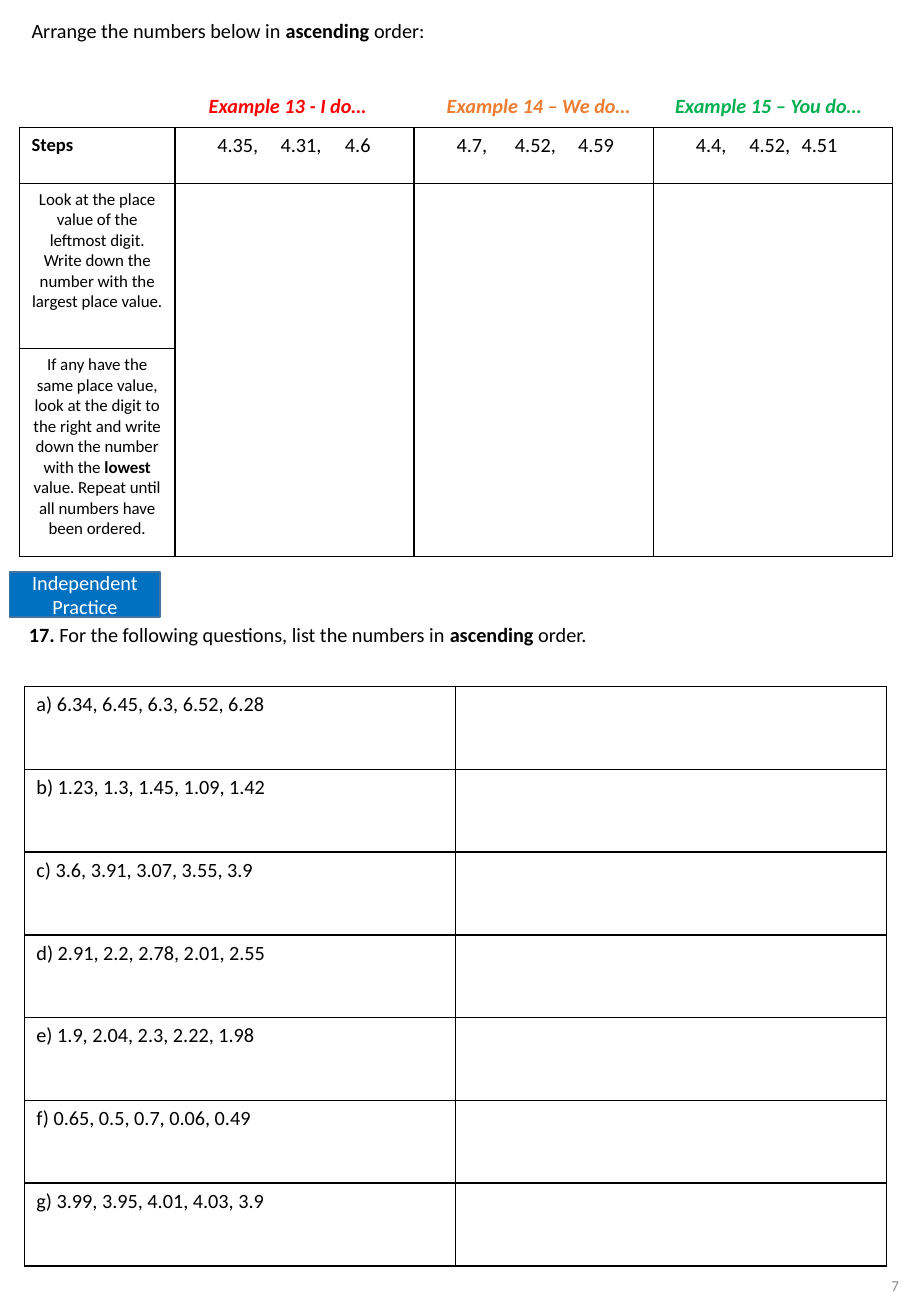
from lxml import etree
from pptx import Presentation
from pptx.dml.color import RGBColor
from pptx.enum.shapes import MSO_SHAPE
from pptx.enum.text import MSO_ANCHOR as ANCHOR, PP_ALIGN as ALIGN
from pptx.oxml.ns import qn
from pptx.util import Inches, Pt

BLACK, WHITE = "000000", "FFFFFF"


def rgb(value):
    return RGBColor.from_string(value)


def write(tf, text, size=12, color=BLACK, bold=False, italic=False,
          align=ALIGN.LEFT, tabs=()):
    """Write one paragraph; text between asterisks is bold."""
    p = tf.paragraphs[0]
    p.alignment = align
    if tabs:
        stops = etree.SubElement(p._p.get_or_add_pPr(), qn("a:tabLst"))
        for pos in tabs:
            etree.SubElement(stops, qn("a:tab"), pos=str(Inches(pos)), algn="l")
    for i, part in enumerate(text.split("*")):
        if part:
            r = p.add_run()
            r.text = part
            r.font.name = "Calibri"
            r.font.size = Pt(size)
            r.font.bold = bold or i % 2 == 1
            r.font.italic = italic
            r.font.color.rgb = rgb(color)


def set_borders(cell, sides):
    """Draw the named sides (L, R, T, B) in black and hide the others."""
    tc_pr = cell._tc.get_or_add_tcPr()
    for i, side in enumerate("LRTB"):
        ln = etree.Element(qn("a:ln" + side), w=str(Pt(1)))
        if side in sides:
            fill = etree.SubElement(ln, qn("a:solidFill"))
            etree.SubElement(fill, qn("a:srgbClr"), val=BLACK)
        else:
            etree.SubElement(ln, qn("a:noFill"))
        tc_pr.insert(i, ln)


class Worksheet:
    def __init__(self, width, height):
        self.prs = Presentation()
        self.prs.slide_width, self.prs.slide_height = Inches(width), Inches(height)
        self.slide = self.prs.slides.add_slide(self.prs.slide_layouts[6])

    def text(self, x, y, w, h, text, wrap=True, anchor=ANCHOR.TOP, **fmt):
        tf = self.slide.shapes.add_textbox(
            Inches(x), Inches(y), Inches(w), Inches(h)).text_frame
        tf.word_wrap = wrap
        tf.vertical_anchor = anchor
        write(tf, text, **fmt)

    def label(self, x, y, w, h, text, fill, line):
        sp = self.slide.shapes.add_shape(
            MSO_SHAPE.RECTANGLE, Inches(x), Inches(y), Inches(w), Inches(h))
        sp.shadow.inherit = False
        sp.fill.solid()
        sp.fill.fore_color.rgb = rgb(fill)
        sp.line.color.rgb = rgb(line)
        sp.line.width = Pt(1)
        sp.text_frame.word_wrap = True
        sp.text_frame.vertical_anchor = ANCHOR.MIDDLE
        write(sp.text_frame, text, color=WHITE, align=ALIGN.CENTER)

    def table(self, x, y, cols, rows, open_rows=0):
        """Add a ruled table whose first open_rows rows have no borders."""
        table = self.slide.shapes.add_table(
            len(rows), len(cols), Inches(x), Inches(y),
            Inches(sum(cols)), Inches(sum(rows))).table
        table.first_row = table.horz_banding = False
        for col, w in zip(table.columns, cols):
            col.width = Inches(w)
        for i, (row, h) in enumerate(zip(table.rows, rows)):
            row.height = Inches(h)
            sides = "LRTB" if i >= open_rows else "B" if i == open_rows - 1 else ""
            for cell in row.cells:
                cell.fill.solid()
                cell.fill.fore_color.rgb = rgb(WHITE)
                set_borders(cell, sides)
        return table


def main():
    sheet = Worksheet(7.5, 10.83)
    sheet.text(5.81, 10.29, 1.69, 0.58, "7", anchor=ANCHOR.MIDDLE,
               size=9, color="8C8C8C", align=ALIGN.RIGHT)

    # Worked examples table
    examples = sheet.table(0.16, 0.11, [1.28] + [1.97] * 3,
                           [0.48, 0.46, 0.46, 1.36, 1.71], open_rows=2)
    examples.cell(0, 0).merge(examples.cell(0, 3))
    examples.cell(1, 1).merge(examples.cell(1, 3))
    for c in range(1, 4):
        examples.cell(3, c).merge(examples.cell(4, c))
    write(examples.cell(0, 0).text_frame,
          "Arrange the numbers below in *ascending* order:")
    write(examples.cell(2, 0).text_frame, "Steps", size=11, bold=True)

    steps = [
        "Look at the place value of the leftmost digit. Write down the number "
        "with the largest place value.",
        "If any have the same place value, look at the digit to the right and "
        "write down the number with the *lowest* value. Repeat until all "
        "numbers have been ordered.",
    ]
    for row, step in enumerate(steps, start=3):
        write(examples.cell(row, 0).text_frame, step, size=10, align=ALIGN.CENTER)

    # Numbers to order, spaced by tab stops
    numbers = [("4.35,\t4.31,\t4.6", (0.52, 1.05)),
               ("4.7,\t4.52,\t4.59", (0.48, 1.0)),
               ("4.4,\t4.52,\t4.51", (0.44, 0.87))]
    for col, (text, tabs) in enumerate(numbers, start=1):
        cell = examples.cell(2, col)
        cell.margin_left = Inches(0.35)
        write(cell.text_frame, text, tabs=tabs)

    # Example headings
    for x, w, text, color in [(1.62, 1.54, "Example 13 - I do…", "FF0000"),
                              (3.58, 1.8, "Example 14 – We do…", "ED7D31"),
                              (5.46, 1.8, "Example 15 – You do…", "00B050")]:
        sheet.text(x, 0.72, w, 0.3, text, wrap=False, color=color,
                   bold=True, italic=True)

    # Independent practice
    questions = ["a) 6.34, 6.45, 6.3, 6.52, 6.28",
                 "b) 1.23, 1.3, 1.45, 1.09, 1.42",
                 "c) 3.6, 3.91, 3.07, 3.55, 3.9",
                 "d) 2.91, 2.2, 2.78, 2.01, 2.55",
                 "e) 1.9, 2.04, 2.3, 2.22, 1.98",
                 "f) 0.65, 0.5, 0.7, 0.06, 0.49",
                 "g) 3.99, 3.95, 4.01, 4.03, 3.9"]
    practice = sheet.table(0.2, 5.65, [3.55] * 2,
                           [4.77 / len(questions)] * len(questions))
    for row, question in enumerate(questions):
        write(practice.cell(row, 0).text_frame, question)
    sheet.text(0.14, 5.07, 6.2, 0.3,
               "*17. *For the following questions, list the numbers in "
               "*ascending* order.")
    sheet.label(0.08, 4.71, 1.24, 0.37, "Independent Practice",
                fill="0070C0", line="43739E")

    sheet.prs.save("out.pptx")


if __name__ == "__main__":
    main()
